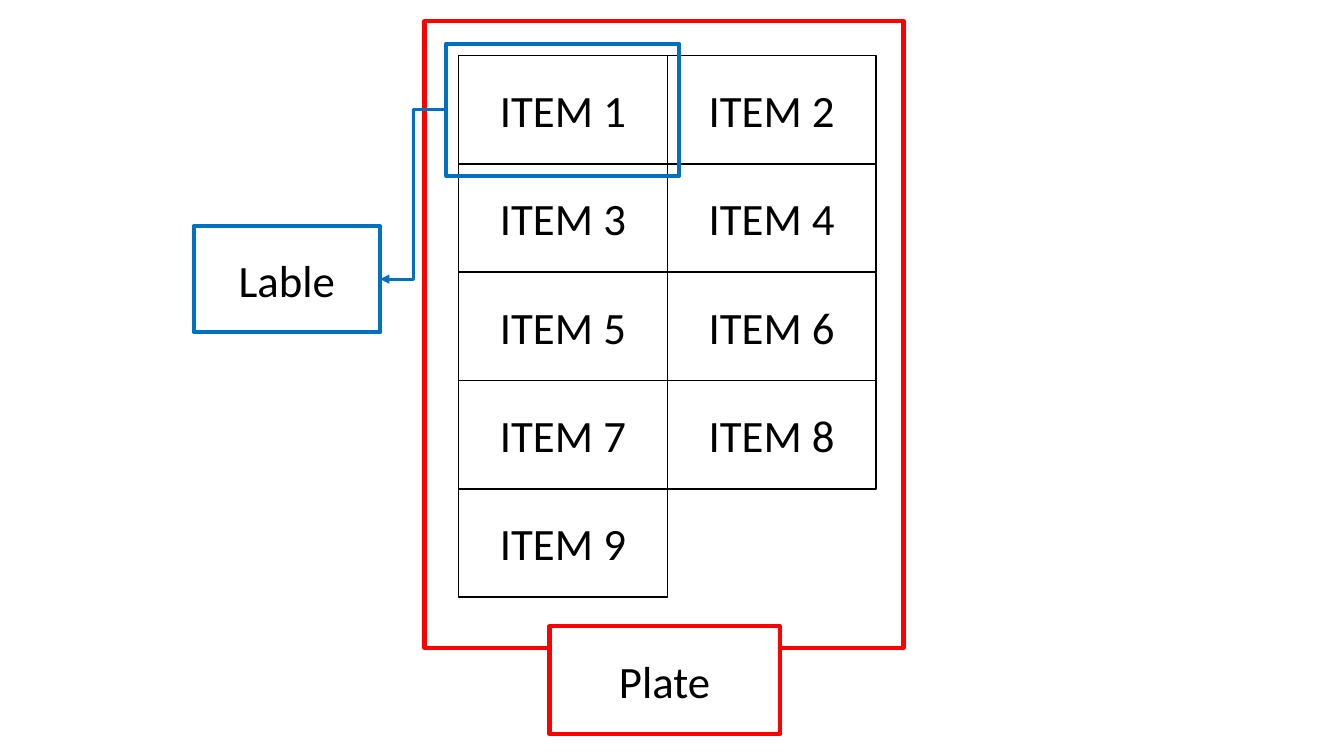
from dataclasses import dataclass
from typing import Optional

from lxml import etree
from pptx import Presentation
from pptx.dml.color import RGBColor
from pptx.enum.shapes import MSO_CONNECTOR, MSO_SHAPE
from pptx.enum.text import MSO_ANCHOR, PP_ALIGN
from pptx.oxml.ns import qn
from pptx.shapes.autoshape import Shape
from pptx.shapes.connector import Connector
from pptx.slide import Slide
from pptx.util import Cm, Pt

RECT = MSO_SHAPE.RECTANGLE
ELBOW = MSO_CONNECTOR.ELBOW
MIDDLE = MSO_ANCHOR.MIDDLE
CENTER = PP_ALIGN.CENTER

BLACK = RGBColor(0x00, 0x00, 0x00)
WHITE = RGBColor(0xFF, 0xFF, 0xFF)
BLUE = RGBColor(0x00, 0x70, 0xC0)
RED = RGBColor(0xFF, 0x00, 0x00)

FONT = {"name": "Calibri", "size": Pt(32)}
LEFT_SIDE, RIGHT_SIDE = 1, 3

ITEM_COUNT, COLUMNS = 9, 2
GRID_LEFT, GRID_TOP = 11.56, 1.4
ITEM_WIDTH, ITEM_HEIGHT = 5.26, 2.73


@dataclass
class Box:
    """A rectangle in centimetres; without text it is an unfilled frame."""
    left: float
    top: float
    width: float
    height: float
    color: RGBColor
    weight: float = 3
    text: Optional[str] = None


ITEMS = [
    Box(GRID_LEFT + i % COLUMNS * ITEM_WIDTH, GRID_TOP + i // COLUMNS * ITEM_HEIGHT,
        ITEM_WIDTH, ITEM_HEIGHT, BLACK, 1, f"ITEM {i + 1}")
    for i in range(ITEM_COUNT)
]
ITEM_FRAME = Box(11.25, 1.1, 5.87, 3.33, BLUE)
LABEL = Box(4.88, 5.7, 4.7, 2.67, BLUE, text="Lable")
PLATE_FRAME = Box(10.7, 0.53, 12.07, 15.8, RED)
PLATE = Box(13.85, 15.78, 5.8, 2.72, RED, text="Plate")


def add_box(s: Slide, box: Box) -> Shape:
    sp = s.shapes.add_shape(RECT, Cm(box.left), Cm(box.top), Cm(box.width), Cm(box.height))
    sp.shadow.inherit = False
    sp.line.color.rgb = box.color
    sp.line.width = Pt(box.weight)
    if box.text is None:
        sp.fill.background()
        return sp
    sp.fill.solid()
    sp.fill.fore_color.rgb = WHITE
    tf = sp.text_frame
    tf.word_wrap = True
    tf.vertical_anchor = MIDDLE
    p = tf.paragraphs[0]
    p.alignment = CENTER
    r = p.add_run()
    r.text = box.text
    for name, value in FONT.items():
        setattr(r.font, name, value)
    r.font.color.rgb = BLACK
    return sp


def add_arrow(s: Slide, start: Shape, end: Shape) -> Connector:
    """Join the left side of start to the right side of end."""
    arrow = s.shapes.add_connector(ELBOW, 0, 0, 0, 0)
    arrow.begin_connect(start, LEFT_SIDE)
    arrow.end_connect(end, RIGHT_SIDE)
    arrow.line.color.rgb = BLUE
    arrow.line.width = Pt(2.25)
    ln = arrow.line._get_or_add_ln()
    etree.SubElement(ln, qn("a:tailEnd"), type="triangle")
    etree.SubElement(arrow._element.spPr, qn("a:effectLst"))
    return arrow


def main() -> None:
    prs = Presentation()
    prs.slide_width, prs.slide_height = Cm(33.87), Cm(19.05)
    s = prs.slides.add_slide(prs.slide_layouts[6])
    for item in ITEMS:
        add_box(s, item)
    item_frame = add_box(s, ITEM_FRAME)
    label = add_box(s, LABEL)
    add_box(s, PLATE_FRAME)
    add_box(s, PLATE)
    add_arrow(s, item_frame, label)
    prs.save("out.pptx")


if __name__ == "__main__":
    main()
